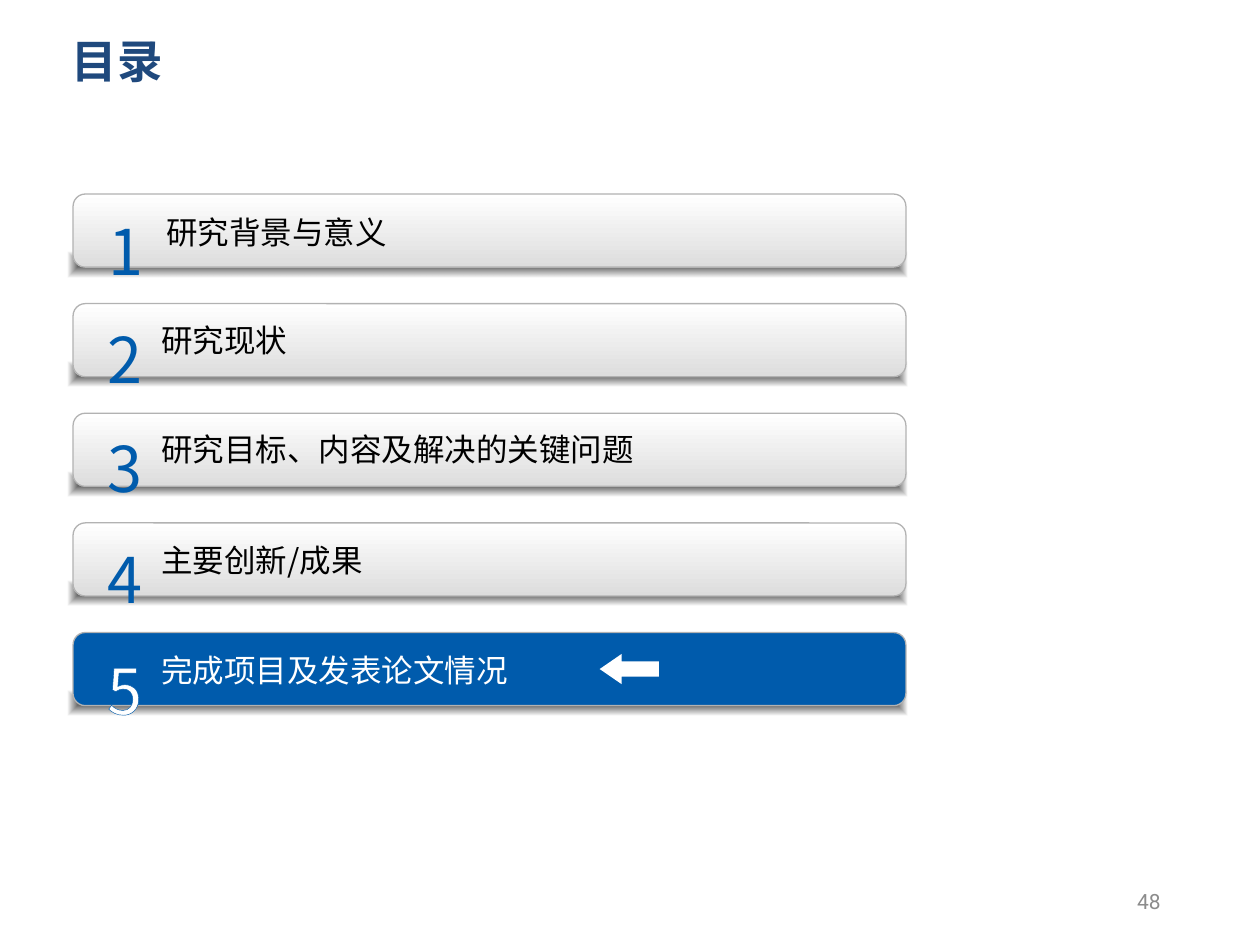
from lxml import etree
from pptx import Presentation
from pptx import util as u
from pptx.dml.color import RGBColor
from pptx.enum import shapes, text
from pptx.oxml.ns import qn

NAVY = RGBColor(0x1F, 0x49, 0x7D)
BLUE = RGBColor(0x00, 0x5B, 0xAC)
WHITE = RGBColor(0xFF, 0xFF, 0xFF)
BLACK = RGBColor(0, 0, 0)
SILVER = RGBColor(0xDD, 0xDD, 0xDD)
EDGE = RGBColor(0xB2, 0xB2, 0xB2)
GREY = RGBColor(0x8C, 0x8C, 0x8C)
CJK, LATIN = "Noto Sans CJK SC", "Roboto"
LEFT, CENTER, RIGHT = text.PP_ALIGN.LEFT, text.PP_ALIGN.CENTER, text.PP_ALIGN.RIGHT
TOP, MIDDLE = text.MSO_ANCHOR.TOP, text.MSO_ANCHOR.MIDDLE
SHAPE = shapes.MSO_SHAPE


def write(sp, words, size=18, color=BLACK, font=CJK, bold=False, align=LEFT,
          anchor=MIDDLE, insets=(0.1, 0.05, 0.1, 0.05), wrap=True, outline=None):
    """Put one formatted line of text into a shape."""
    tf = sp.text_frame
    tf.word_wrap = wrap
    tf.vertical_anchor = anchor
    tf.margin_left, tf.margin_top, tf.margin_right, tf.margin_bottom = map(u.Inches, insets)
    p = tf.paragraphs[0]
    p.alignment = align
    r = p.add_run()
    r.text = words
    r.font.size, r.font.bold, r.font.name = u.Pt(size), bold, font
    r.font.color.rgb = color
    props = r.font._element
    props.find(qn("a:latin")).addnext(props.makeelement(qn("a:ea"), {"typeface": CJK}))
    if outline is not None:
        ln = etree.Element(qn("a:ln"), w=str(u.Pt(0.25)))
        fill = etree.SubElement(ln, qn("a:solidFill"))
        etree.SubElement(fill, qn("a:srgbClr"), val=str(outline))
        props.insert(0, ln)


class Deck:
    def __init__(self):
        self.prs = Presentation()
        self.prs.slide_width, self.prs.slide_height = u.Inches(10), u.Inches(7.5)
        self.s = self.prs.slides.add_slide(self.prs.slide_layouts[6])

    def text(self, box, words, **style):
        sp = self.s.shapes.add_textbox(*map(u.Inches, box))
        write(sp, words, **style)

    def shape(self, kind, box, fill=None, line=None, adj=()):
        sp = self.s.shapes.add_shape(kind, *map(u.Inches, box))
        sp.shadow.inherit = False
        for i, value in enumerate(adj):
            sp.adjustments[i] = value
        if fill is None:
            sp.fill.background()
        elif isinstance(fill, RGBColor):
            sp.fill.solid()
            sp.fill.fore_color.rgb = fill
        else:
            sp.fill.gradient()
            sp.fill.gradient_angle = 270
            for stop, color in zip(sp.fill.gradient_stops, fill):
                stop.color.rgb = color
        if line is None:
            sp.line.fill.background()
        else:
            sp.line.color.rgb = line
            sp.line.width = u.Pt(0.75)
        return sp

    def soft_shadow(self, box):
        """Black rectangle fading out from its centre."""
        sp = self.shape(SHAPE.RECTANGLE, box, (BLACK, BLACK))
        grad = sp._element.spPr.find(qn("a:gradFill"))
        for color, alpha in zip(grad.iter(qn("a:srgbClr")), (70000, 0)):
            etree.SubElement(color, qn("a:alpha"), val=str(alpha))
        lin = grad.find(qn("a:lin"))
        route = etree.Element(qn("a:path"), {"path": "shape"})
        etree.SubElement(route, qn("a:fillToRect"), l="50000", t="50000", r="50000", b="50000")
        grad.replace(lin, route)

    def bar(self, box, active):
        self.shape(SHAPE.ROUNDED_RECTANGLE, box, BLUE if active else (WHITE, SILVER),
                   EDGE, adj=(0.167,))

    def number(self, box, words, active):
        self.text(box, words, size=36, color=WHITE if active else BLUE, align=CENTER,
                  anchor=TOP, insets=(0, 0, 0, 0), wrap=False, outline=BLUE)

    def label(self, box, words, active):
        sp = self.shape(SHAPE.ROUNDED_RECTANGLE, box, adj=(0,))
        write(sp, words, color=WHITE if active else BLACK,
              insets=(0.16, 0.05, 0.1, 0.05), wrap=False)


# Agenda rows: label, label left, top and width, number left, top and width
ROWS = [
    ("研究背景与意义", (1.16, 1.55, 5.45), (0.86, 1.69, 0.13)),
    ("研究现状", (1.12, 2.41, 3.07), (0.85, 2.54, 0.2)),
    ("研究目标、内容及解决的关键问题", (1.12, 3.27, 3.07), (0.85, 3.41, 0.2)),
    ("主要创新/成果", (1.12, 4.15, 5.45), (0.85, 4.29, 0.2)),
    ("完成项目及发表论文情况", (1.12, 5.03, 3.19), (0.85, 5.17, 0.2)),
]
PITCH = 0.87
ACTIVE = 4


def main():
    deck = Deck()

    # Title
    deck.text((0.47, 0.16, 9.28, 0.64), "目录", size=26, color=NAVY, font=LATIN, bold=True)

    # Agenda bars with their shadows, numbers and labels
    for i, (words, label, number) in enumerate(ROWS):
        active = i == ACTIVE
        deck.soft_shadow((0.54, 2 + i * PITCH, 6.66, 0.2))
        deck.bar((0.58, 1.54 + i * PITCH, 6.61, 0.58), active)
        deck.number((*number, 0.31), str(i + 1), active)
        deck.label((*label, 0.58), words, active)

    # Marker of the current section
    deck.shape(SHAPE.LEFT_ARROW, (4.76, 5.19, 0.47, 0.24), WHITE, adj=(0.503, 0.727))

    # Page number
    deck.text((7.06, 6.95, 2.25, 0.4), "48", size=12, color=GREY, font=LATIN, align=RIGHT)

    deck.prs.save("out.pptx")


if __name__ == "__main__":
    main()
